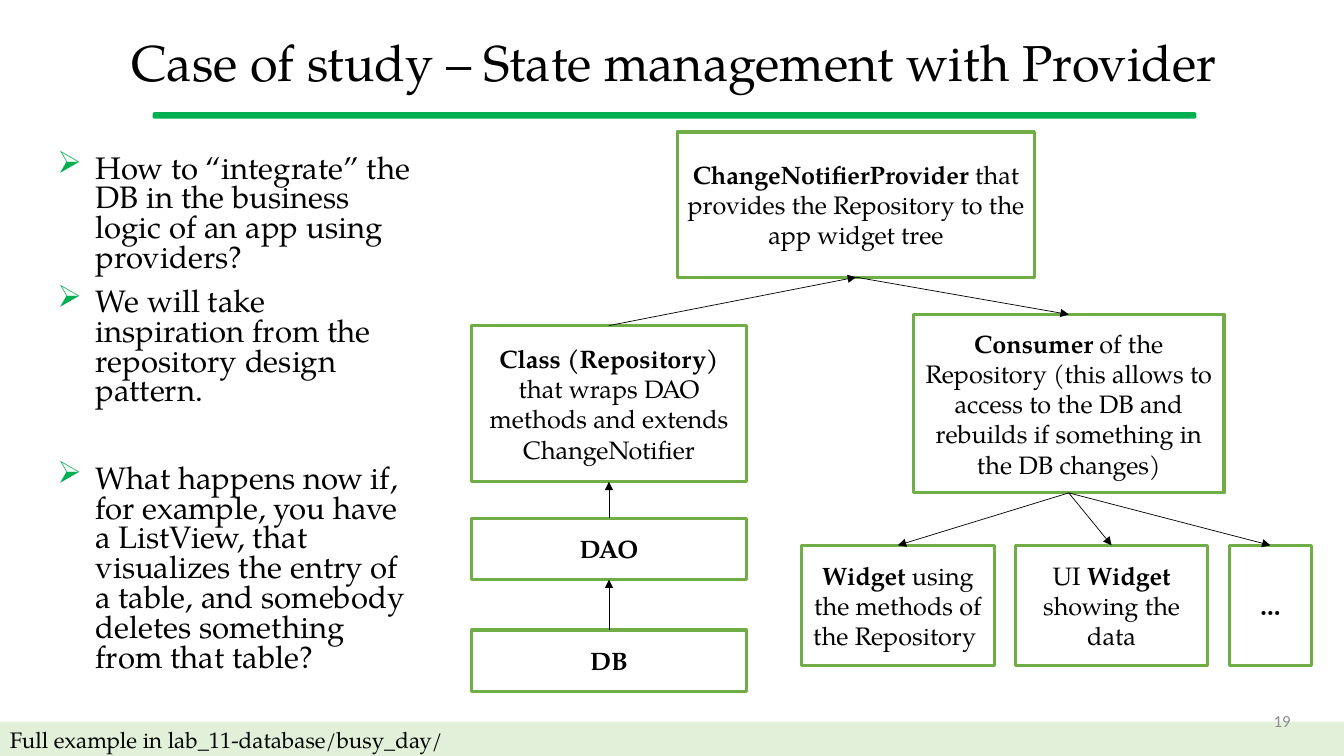
import pptx
import pptx.dml.color
import pptx.enum.shapes
import pptx.enum.text
import pptx.oxml.ns
import pptx.util
from lxml import etree

Inches = pptx.util.Inches
Pt = pptx.util.Pt
Shape = pptx.enum.shapes.MSO_SHAPE
Align = pptx.enum.text.PP_ALIGN
Anchor = pptx.enum.text.MSO_ANCHOR
qn = pptx.oxml.ns.qn

TOP, BOTTOM = 0, 2


def color(value):
    return pptx.dml.color.RGBColor.from_string(value)


class Page:
    font = "TeX Gyre Pagella"
    ink = "000000"
    accent = "00B050"
    border = "70AD47"

    def __init__(self, slide):
        self.slide = slide

    def add_spans(self, para, spans, size, font=None, ink=None):
        """Add (text, bold) spans to a paragraph."""
        for text, bold in spans:
            span = para.add_run()
            span.text = text
            span.font.name = font or self.font
            span.font.size = Pt(size)
            span.font.bold = bold
            span.font.color.rgb = color(ink or self.ink)

    def text(self, place, spans, size, align, spacing=None, **style):
        box = self.slide.shapes.add_textbox(*map(Inches, place))
        self.label(box, spans, size, align, spacing, **style)

    def bullets(self, place, items, size):
        """Add a bulleted list of (text, space before) items."""
        frame = self.slide.shapes.add_textbox(*map(Inches, place)).text_frame
        frame.word_wrap = True
        for index, (text, before) in enumerate(items):
            para = frame.add_paragraph() if index else frame.paragraphs[0]
            para.line_spacing = 0.8
            para.space_before = Pt(before)
            props = para._p.get_or_add_pPr()
            props.set("marL", str(Inches(0.38)))
            props.set("indent", str(-Inches(0.38)))
            tint = etree.SubElement(props, qn("a:buClr"))
            etree.SubElement(tint, qn("a:srgbClr"), val=self.accent)
            etree.SubElement(props, qn("a:buChar"), char="➢")
            self.add_spans(para, [(text, False)], size)

    def shape(self, place, fill, line=None, weight=1, kind=Shape.RECTANGLE):
        box = self.slide.shapes.add_shape(kind, *map(Inches, place))
        box.shadow.inherit = False
        box.fill.solid()
        box.fill.fore_color.rgb = color(fill)
        if line:
            box.line.color.rgb = color(line)
            box.line.width = Pt(weight)
        else:
            box.line.fill.background()
        return box

    def label(self, box, spans, size, align=Align.CENTER, spacing=None, **style):
        box.text_frame.word_wrap = True
        box.text_frame.vertical_anchor = Anchor.MIDDLE
        para = box.text_frame.paragraphs[0]
        para.alignment = align
        para.line_spacing = spacing
        self.add_spans(para, spans, size, **style)

    def node(self, place, *spans):
        box = self.shape(place, "FFFFFF", self.border, 2.25)
        self.label(box, spans, 18)
        return box

    def arrow(self, start, start_side, end, end_side):
        line = self.slide.shapes.add_connector(
            pptx.enum.shapes.MSO_CONNECTOR.STRAIGHT, 0, 0, 0, 0)
        line.begin_connect(start, start_side)
        line.end_connect(end, end_side)
        line.line.color.rgb = color(self.ink)
        line.line.width = Pt(0.5)
        props = line._element.spPr
        etree.SubElement(props.find(qn("a:ln")), qn("a:tailEnd"), type="triangle")
        etree.SubElement(props, qn("a:effectLst"))


def main():
    deck = pptx.Presentation()
    deck.slide_width, deck.slide_height = Inches(13.33), Inches(7.5)
    page = Page(deck.slides.add_slide(deck.slide_layouts[6]))

    # Title and rule
    rule = page.shape((1.52, 1.12, 10.34, 0.05), page.accent, page.accent,
                      kind=Shape.ROUNDED_RECTANGLE)
    rule.adjustments[0] = 0.26
    page.text((0.47, 0.18, 12.43, 0.94),
              [("Case of study – State management with Provider", False)],
              36, Align.CENTER, 0.9)

    # Questions on the left, the last one set apart
    page.bullets((0.47, 1.49, 3.74, 5.44), [
        ("How to “integrate” the DB in the business logic of an app using providers?", 0),
        ("We will take inspiration from the repository design pattern.", 10),
        ("What happens now if, for example, you have a ListView, that visualizes "
         "the entry of a table, and somebody deletes something from that table?", 41),
    ], 22.2)

    # Footer band
    footer = page.shape((0, 7.16, 13.33, 0.39), "E2F0D9")
    page.label(footer, [("Full example in lab_11-database/busy_day/", False)],
               16, Align.LEFT, 0.9)

    # Data side
    left, width = 4.68, 2.72
    repository = page.node((left, 3.23, width, 1.55), ("Class (Repository) ", True),
                           ("that wraps DAO methods and extends ChangeNotifier", False))
    dao = page.node((left, 5.14, width, 0.61), ("DAO", True))
    database = page.node((left, 6.25, width, 0.61), ("DB", True))

    # Provider and consumer
    provider = page.node((6.72, 1.31, 3.54, 1.44), ("ChangeNotifierProvider", True),
                         (" that provides the Repository to the app widget tree", False))
    consumer = page.node((9.06, 3.12, 3.08, 1.77), ("Consumer", True),
                         (" of the Repository (this allows to access to the DB and "
                          "rebuilds if something in the DB changes)", False))

    # Widgets in one row
    row = [
        (1.91, [("Widget", True), (" using the methods of the Repository ", False)]),
        (1.91, [("UI ", False), ("Widget", True), (" showing the data", False)]),
        (0.82, [("…", True)]),
    ]
    widgets = []
    left = 7.95
    for width, spans in row:
        widgets.append(page.node((left, 5.41, width, 1.19), *spans))
        left += width + 0.21

    # Arrows
    for start, end in [(database, dao), (dao, repository), (repository, provider)]:
        page.arrow(start, TOP, end, BOTTOM)
    page.arrow(provider, BOTTOM, consumer, TOP)
    for widget in widgets:
        page.arrow(consumer, BOTTOM, widget, TOP)

    # Page number
    page.text((9.42, 6.95, 3.48, 0.4), [("19", False)], 12, Align.RIGHT,
              font="Calibri", ink="8C8C8C")

    deck.save("out.pptx")


if __name__ == "__main__":
    main()
